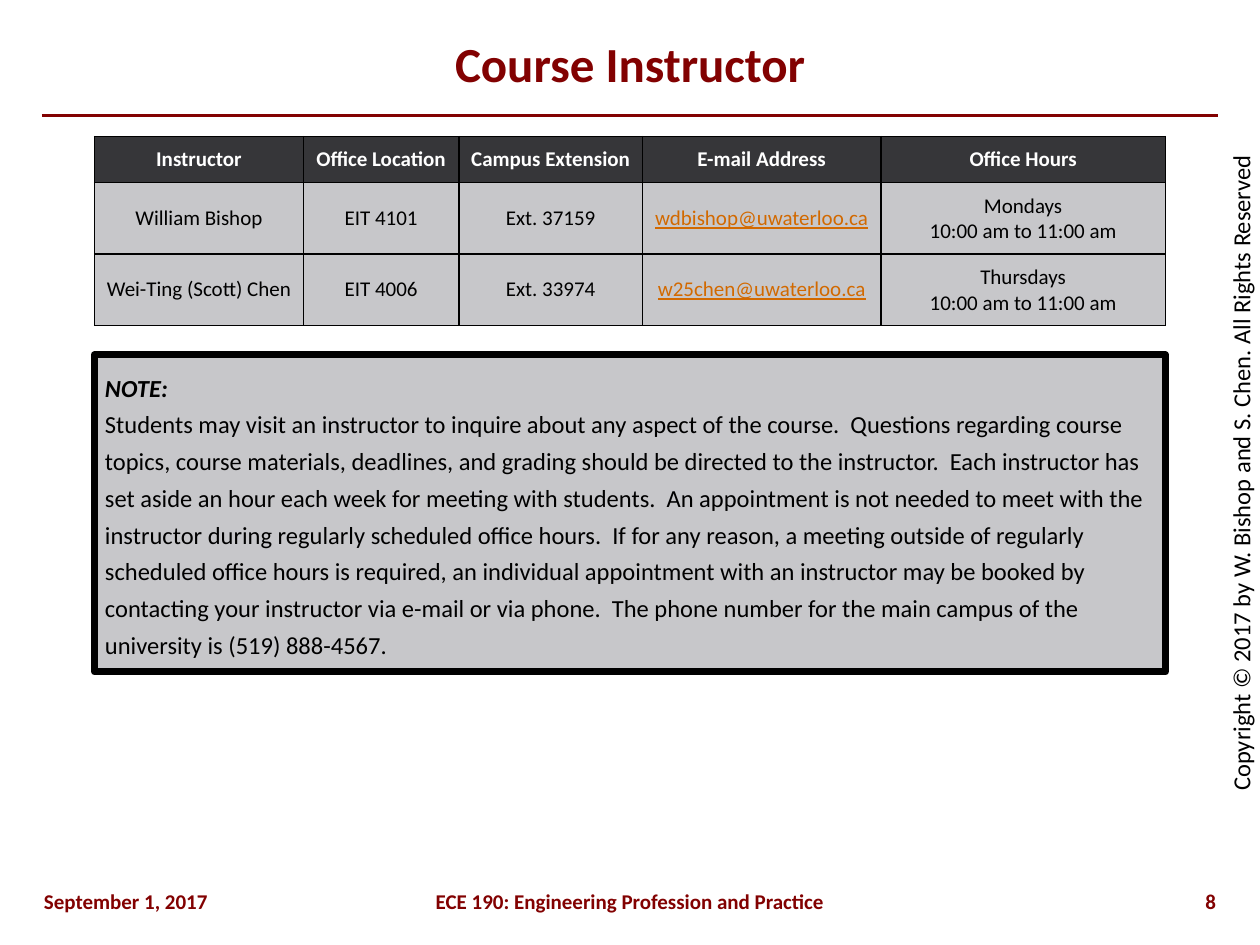
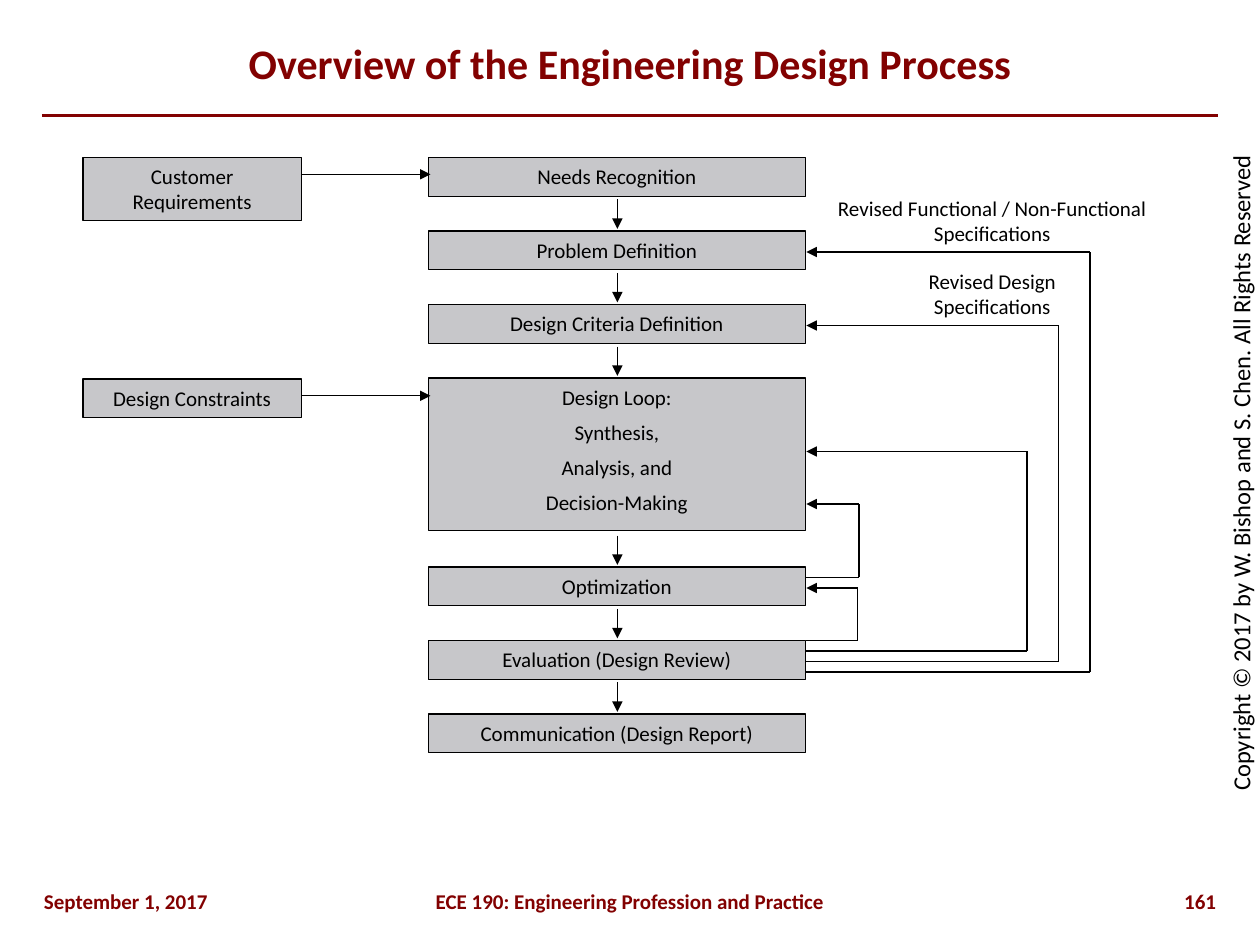
from dataclasses import dataclass, field
from itertools import pairwise

from lxml import etree
from pptx import Presentation
from pptx.dml.color import RGBColor
from pptx.enum.shapes import MSO_CONNECTOR, MSO_SHAPE
from pptx.enum.text import MSO_ANCHOR, PP_ALIGN
from pptx.oxml.ns import qn
from pptx.shapes.autoshape import Shape
from pptx.shapes.connector import Connector
from pptx.slide import Slide
from pptx.table import _Cell
from pptx.text.text import TextFrame
from pptx.util import Emu, Pt

LEFT, CENTER, RIGHT = PP_ALIGN.LEFT, PP_ALIGN.CENTER, PP_ALIGN.RIGHT
TOP, MIDDLE = MSO_ANCHOR.TOP, MSO_ANCHOR.MIDDLE
RECTANGLE, STRAIGHT = MSO_SHAPE.RECTANGLE, MSO_CONNECTOR.STRAIGHT
EMU_PER_PX = 7620  # 120 px to the inch


def px(length: int) -> Emu:
    return Emu(length * EMU_PER_PX)


@dataclass(frozen=True)
class TextStyle:
    size: int
    color: str = "000000"
    bold: bool = False
    italic: bool = False
    underline: bool = False


@dataclass(frozen=True)
class Theme:
    font: str = "Calibri"
    accent: str = "820101"
    ink: str = "000000"
    panel: str = "C7C7CA"
    header: str = "363639"
    title_large: TextStyle = TextStyle(28, "820101", bold=True)
    title_small: TextStyle = TextStyle(24, "820101", bold=True)
    footer: TextStyle = TextStyle(12, "820101", bold=True)
    body: TextStyle = TextStyle(12)
    note: TextStyle = TextStyle(14)
    note_heading: TextStyle = TextStyle(14, bold=True, italic=True)
    table_header: TextStyle = TextStyle(12, "FFFFFF", bold=True)
    email: TextStyle = TextStyle(12, "D26900", underline=True)
    rule_width: float = 2.25
    thin_width: float = 0.75
    note_width: float = 4
    border_width: float = 1
    stage_spacing: float = 5.75


THEME = Theme()


@dataclass(frozen=True)
class Box:
    left: int
    top: int
    width: int
    height: int


@dataclass(frozen=True)
class Line:
    """One paragraph of text in one style."""
    text: str
    style: TextStyle = field(default=THEME.body)


@dataclass(frozen=True)
class Stage:
    lines: tuple[str, ...]
    height: int = 37
    pitch: int = 70


@dataclass(frozen=True)
class ProcessInput:
    label: str
    box: Box


@dataclass(frozen=True)
class Feedback:
    """A return path: out at source_y, along bend_x, back in at target_y."""
    source_y: int
    bend_x: int
    target_y: int


@dataclass(frozen=True)
class Caption:
    lines: tuple[str, ...]
    box: Box


COPYRIGHT = "Copyright © 2017 by W. Bishop and S. Chen. All Rights Reserved"
DATE = "September 1, 2017"
COURSE = "ECE 190: Engineering Profession and Practice"

INSET = 10
TABLE_BOX = Box(90, 130, 1020, 177)
COLUMN_WIDTHS = (199, 148, 175, 227, 271)
ROW_HEIGHTS = (43, 67, 67)
EMAIL_COLUMN = 3
INSTRUCTORS = (
    ("Instructor", "Office Location", "Campus Extension", "E-mail Address", "Office Hours"),
    ("William Bishop", "EIT 4101", "Ext. 37159", "wdbishop@uwaterloo.ca",
     "Mondays\n10:00 am to 11:00 am"),
    ("Wei-Ting (Scott) Chen", "EIT 4006", "Ext. 33974", "w25chen@uwaterloo.ca",
     "Thursdays\n10:00 am to 11:00 am"),
)
NOTE_BOX = Box(90, 338, 1020, 302)
NOTE = (
    "Students may visit an instructor to inquire about any aspect of the course.  "
    "Questions regarding course topics, course materials, deadlines, and grading should be "
    "directed to the instructor.  Each instructor has set aside an hour each week for meeting "
    "with students.  An appointment is not needed to meet with the instructor during regularly "
    "scheduled office hours.  If for any reason, a meeting outside of regularly scheduled "
    "office hours is required, an individual appointment with an instructor may be booked by "
    "contacting your instructor via e-mail or via phone.  The phone number for the main campus "
    "of the university is (519) 888-4567."
)

STAGE_LEFT, STAGE_WIDTH, FIRST_STAGE_TOP = 408, 359, 150
STAGE_CENTER = 588
FEEDBACK_EDGE = 768
STAGES = (
    Stage(("Needs Recognition",)),
    Stage(("Problem Definition",)),
    Stage(("Design Criteria Definition",)),
    Stage(("Design Loop:", "Synthesis,", "Analysis, and", "Decision-Making"), 145, 180),
    Stage(("Optimization",)),
    Stage(("Evaluation (Design Review)",)),
    Stage(("Communication (Design Report)",)),
)
INPUTS = (
    ProcessInput("Customer Requirements", Box(79, 150, 208, 60)),
    ProcessInput("Design Constraints", Box(79, 361, 208, 37)),
)
FEEDBACKS = (
    Feedback(550, 818, 480),
    Feedback(610, 817, 560),
    Feedback(620, 978, 430),
    Feedback(630, 1008, 310),
    Feedback(640, 1038, 240),
)
CAPTIONS = (
    Caption(("Revised Functional / Non-Functional", "Specifications"), Box(770, 180, 350, 60)),
    Caption(("Revised Design", "Specifications"), Box(870, 250, 150, 60)),
)


def rgb(color: str) -> RGBColor:
    return RGBColor.from_string(color)


def write_lines(frame: TextFrame, lines: list[Line], align: PP_ALIGN = CENTER,
                space_before: float = 0, line_spacing: float = 1.0) -> None:
    for index, line in enumerate(lines):
        paragraph = frame.add_paragraph() if index else frame.paragraphs[0]
        paragraph.alignment = align
        paragraph.line_spacing = line_spacing
        if index and space_before:
            paragraph.space_before = Pt(space_before)
        run = paragraph.add_run()
        run.text = line.text
        font, style = run.font, line.style
        font.name, font.size = THEME.font, Pt(style.size)
        font.bold, font.italic, font.underline = style.bold, style.italic, style.underline
        font.color.rgb = rgb(style.color)


def add_text(slide: Slide, box: Box, lines: list[Line], align: PP_ALIGN = CENTER,
             anchor: MSO_ANCHOR = TOP, wrap: bool = True) -> Shape:
    shape = slide.shapes.add_textbox(px(box.left), px(box.top), px(box.width), px(box.height))
    shape.text_frame.word_wrap = wrap
    shape.text_frame.vertical_anchor = anchor
    write_lines(shape.text_frame, lines, align)
    return shape


def add_panel(slide: Slide, box: Box, line_width: float) -> Shape:
    shape = slide.shapes.add_shape(RECTANGLE, px(box.left), px(box.top),
                                   px(box.width), px(box.height))
    shape.shadow.inherit = False
    shape.fill.solid()
    shape.fill.fore_color.rgb = rgb(THEME.panel)
    shape.line.color.rgb = rgb(THEME.ink)
    shape.line.width = Pt(line_width)
    shape.text_frame.word_wrap = True
    shape.text_frame.vertical_anchor = TOP
    return shape


def add_process_box(slide: Slide, box: Box, labels: tuple[str, ...]) -> None:
    shape = add_panel(slide, box, THEME.thin_width)
    write_lines(shape.text_frame, [Line(label) for label in labels],
                space_before=THEME.stage_spacing)


def add_line(slide: Slide, start: tuple[int, int], end: tuple[int, int], arrow: bool = False,
             color: str = THEME.ink, width: float = THEME.thin_width) -> Connector:
    connector = slide.shapes.add_connector(STRAIGHT, px(start[0]), px(start[1]),
                                           px(end[0]), px(end[1]))
    connector.line.color.rgb = rgb(color)
    connector.line.width = Pt(width)
    if arrow:
        outline = connector.line._get_or_add_ln()
        etree.SubElement(outline, qn("a:tailEnd"), type="triangle")
    etree.SubElement(connector._element.spPr, qn("a:effectLst"))
    return connector


def add_cell_borders(cell: _Cell) -> None:
    properties = cell._tc.get_or_add_tcPr()
    for position, side in enumerate(("a:lnL", "a:lnR", "a:lnT", "a:lnB")):
        border = etree.Element(qn(side), w=str(Pt(THEME.border_width)))
        fill = etree.SubElement(border, qn("a:solidFill"))
        etree.SubElement(fill, qn("a:srgbClr"), val=THEME.ink)
        properties.insert(position, border)


def add_framed_slide(presentation: Presentation, title: Line, number: int) -> Slide:
    """Add a slide with the title, rule, copyright line and footers all slides share."""
    slide = presentation.slides.add_slide(presentation.slide_layouts[6])
    add_line(slide, (40, 110), (1160, 110), color=THEME.accent, width=THEME.rule_width)
    add_text(slide, Box(752, 430, 860, 41), [Line(COPYRIGHT, THEME.note)]).rotation = 270
    add_text(slide, Box(40, 20, 1120, 80), [title], anchor=MIDDLE)
    for text, left, width, align in ((DATE, 30, 210, LEFT), (COURSE, 200, 800, CENTER),
                                     (str(number), 1020, 150, RIGHT)):
        add_text(slide, Box(left, 840, width, 30), [Line(text, THEME.footer)], align)
    return slide


def add_instructor_table(slide: Slide) -> None:
    box = TABLE_BOX
    table = slide.shapes.add_table(len(ROW_HEIGHTS), len(COLUMN_WIDTHS), px(box.left),
                                   px(box.top), px(box.width), px(box.height)).table
    for column, width in zip(table.columns, COLUMN_WIDTHS):
        column.width = px(width)
    for row_index, (height, texts) in enumerate(zip(ROW_HEIGHTS, INSTRUCTORS)):
        table.rows[row_index].height = px(height)
        for column_index, text in enumerate(texts):
            cell = table.cell(row_index, column_index)
            style = THEME.email if column_index == EMAIL_COLUMN else THEME.body
            if row_index == 0:
                style = THEME.table_header
            cell.fill.solid()
            cell.fill.fore_color.rgb = rgb(THEME.panel if row_index else THEME.header)
            cell.margin_left = cell.margin_right = px(INSET)
            cell.margin_top = cell.margin_bottom = px(INSET)
            cell.vertical_anchor = MIDDLE
            write_lines(cell.text_frame, [Line(part, style) for part in text.split("\n")])
            add_cell_borders(cell)


def add_note(slide: Slide) -> None:
    frame = add_panel(slide, NOTE_BOX, THEME.note_width).text_frame
    frame.margin_left = frame.margin_right = px(INSET)
    frame.margin_top = frame.margin_bottom = px(INSET)
    write_lines(frame, [Line("NOTE:", THEME.note_heading), Line(NOTE, THEME.note)],
                LEFT, line_spacing=1.25)


def add_stages(slide: Slide) -> None:
    tops = [FIRST_STAGE_TOP]
    for stage in STAGES[:-1]:
        tops.append(tops[-1] + stage.pitch)
    for stage, top in zip(STAGES, tops):
        add_process_box(slide, Box(STAGE_LEFT, top, STAGE_WIDTH, stage.height), stage.lines)
    for _, next_top in pairwise(tops):
        add_line(slide, (STAGE_CENTER, next_top - 30), (STAGE_CENTER, next_top - 2), arrow=True)


def add_input(slide: Slide, process_input: ProcessInput) -> None:
    box = process_input.box
    add_process_box(slide, box, (process_input.label,))
    arrow_y = box.top + 16
    add_line(slide, (box.left + box.width, arrow_y), (STAGE_LEFT + 2, arrow_y), arrow=True)


def add_feedback(slide: Slide, feedback: Feedback) -> None:
    corners = ((FEEDBACK_EDGE, feedback.source_y), (feedback.bend_x, feedback.source_y),
               (feedback.bend_x, feedback.target_y), (FEEDBACK_EDGE, feedback.target_y))
    for start, end in pairwise(corners):
        add_line(slide, start, end, arrow=end == corners[-1])


def main() -> None:
    presentation = Presentation()
    presentation.slide_width, presentation.slide_height = px(1200), px(900)

    slide = add_framed_slide(presentation, Line("Course Instructor", THEME.title_large), 8)
    add_instructor_table(slide)
    add_note(slide)

    title = Line("Overview of the Engineering Design Process", THEME.title_small)
    slide = add_framed_slide(presentation, title, 161)
    add_stages(slide)
    for process_input in INPUTS:
        add_input(slide, process_input)
    for feedback in FEEDBACKS:
        add_feedback(slide, feedback)
    for caption in CAPTIONS:
        add_text(slide, caption.box, [Line(text) for text in caption.lines], wrap=False)

    presentation.save("out.pptx")


if __name__ == "__main__":
    main()
